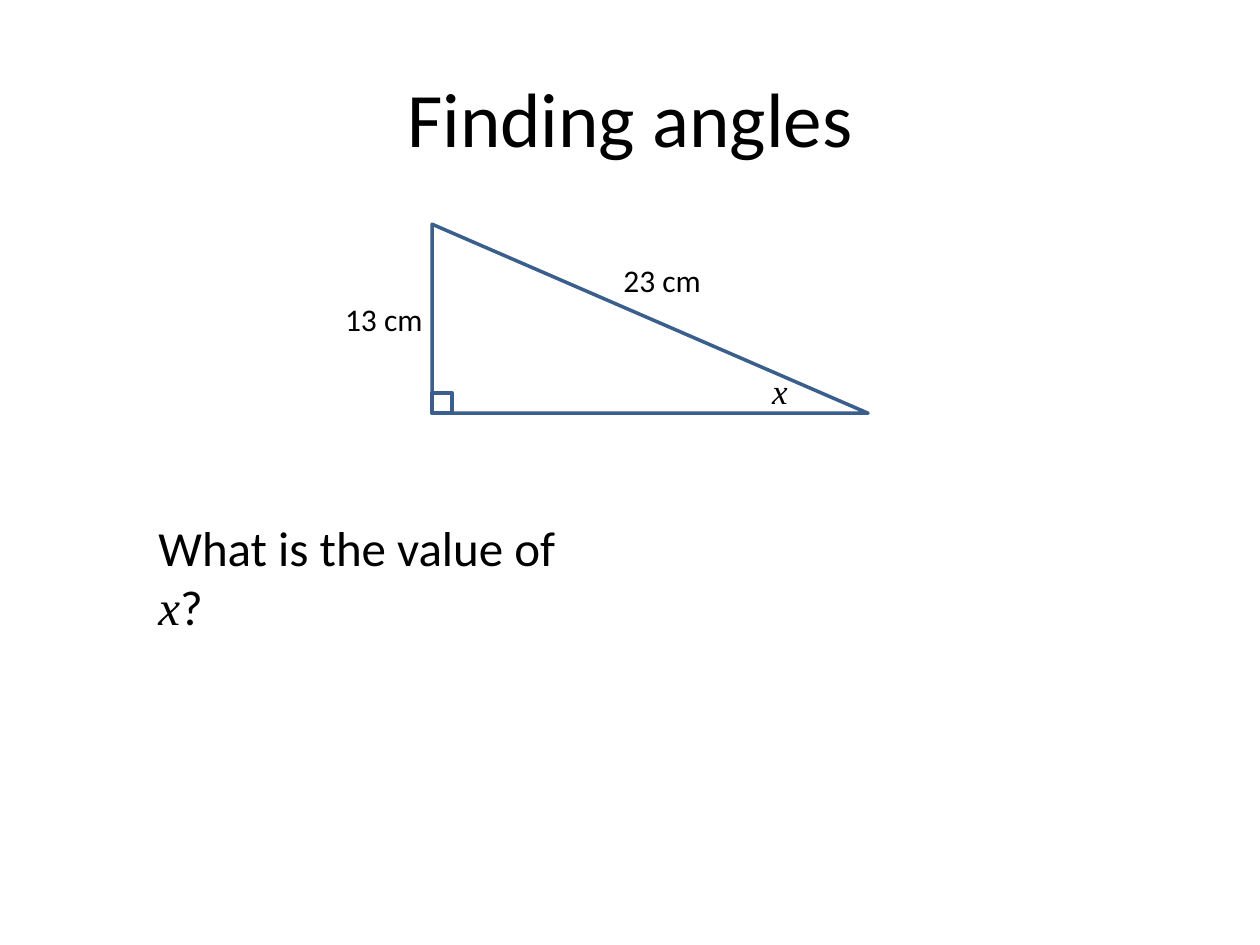
import pptx
import pptx.util
import pptx.dml.color
import pptx.enum.shapes
import pptx.enum.text

Inches = pptx.util.Inches
Pt = pptx.util.Pt
MSO_SHAPE = pptx.enum.shapes.MSO_SHAPE

BLACK = pptx.dml.color.RGBColor(0x00, 0x00, 0x00)
WHITE = pptx.dml.color.RGBColor(0xFF, 0xFF, 0xFF)
BLUE = pptx.dml.color.RGBColor(0x3A, 0x5F, 0x8C)

BODY_FONT = "Calibri"
MATH_FONT = "Times New Roman"


class SlideBuilder:
    def __init__(self, prs):
        self.slide = prs.slides.add_slide(prs.slide_layouts[5])

    def style(self, font, size, name=BODY_FONT, italic=False):
        font.name = name
        font.size = Pt(size)
        font.italic = italic
        font.color.rgb = BLACK

    def title(self, text, left, top, width, height):
        sp = self.slide.shapes.title
        sp.left, sp.top = Inches(left), Inches(top)
        sp.width, sp.height = Inches(width), Inches(height)
        tf = sp.text_frame
        tf.text = text
        tf.vertical_anchor = pptx.enum.text.MSO_ANCHOR.MIDDLE
        p = tf.paragraphs[0]
        p.alignment = pptx.enum.text.PP_ALIGN.CENTER
        self.style(p.font, 44)

    def outline(self, kind, left, top, width, height):
        sp = self.slide.shapes.add_shape(
            kind, Inches(left), Inches(top), Inches(width), Inches(height))
        sp.shadow.inherit = False
        sp.fill.solid()
        sp.fill.fore_color.rgb = WHITE
        sp.line.color.rgb = BLUE
        sp.line.width = Pt(2)

    def text(self, left, top, width, height, wrap=False):
        sp = self.slide.shapes.add_textbox(
            Inches(left), Inches(top), Inches(width), Inches(height))
        tf = sp.text_frame
        tf.word_wrap = wrap
        return tf.paragraphs[0]

    def label(self, text, left, top, width, height, size=18,
              name=BODY_FONT, italic=False):
        p = self.text(left, top, width, height)
        p.text = text
        self.style(p.font, size, name, italic)

    def question(self, parts, left, top, width, height, size=28):
        p = self.text(left, top, width, height, wrap=True)
        for text, is_variable in parts:
            r = p.add_run()
            r.text = text
            name = MATH_FONT if is_variable else BODY_FONT
            self.style(r.font, size, name, is_variable)


def main():
    prs = pptx.Presentation()
    prs.slide_width, prs.slide_height = Inches(10), Inches(7.5)
    s = SlideBuilder(prs)

    s.title("Finding angles", 0.5, 0.3, 9, 1.25)

    # Right-angled triangle with its corner mark
    left, top, width, height, mark = 3.43, 1.78, 3.46, 1.5, 0.16
    s.outline(MSO_SHAPE.RIGHT_TRIANGLE, left, top, width, height)
    s.outline(MSO_SHAPE.RECTANGLE, left, top + height - mark, mark, mark)

    # Side lengths, in boxes wide enough for one line, and the unknown angle
    s.label("23 cm", 4.85, 2.02, 0.86, 0.4)
    s.label("13 cm", 2.64, 2.33, 0.86, 0.4)
    s.label("x", 6.03, 2.88, 0.34, 0.43, 20, MATH_FONT, True)

    # Question
    s.question([("What is the value of ", False), ("x", True), ("?", False)],
               1.16, 4.06, 3.7, 0.57)

    prs.save("out.pptx")


if __name__ == "__main__":
    main()
